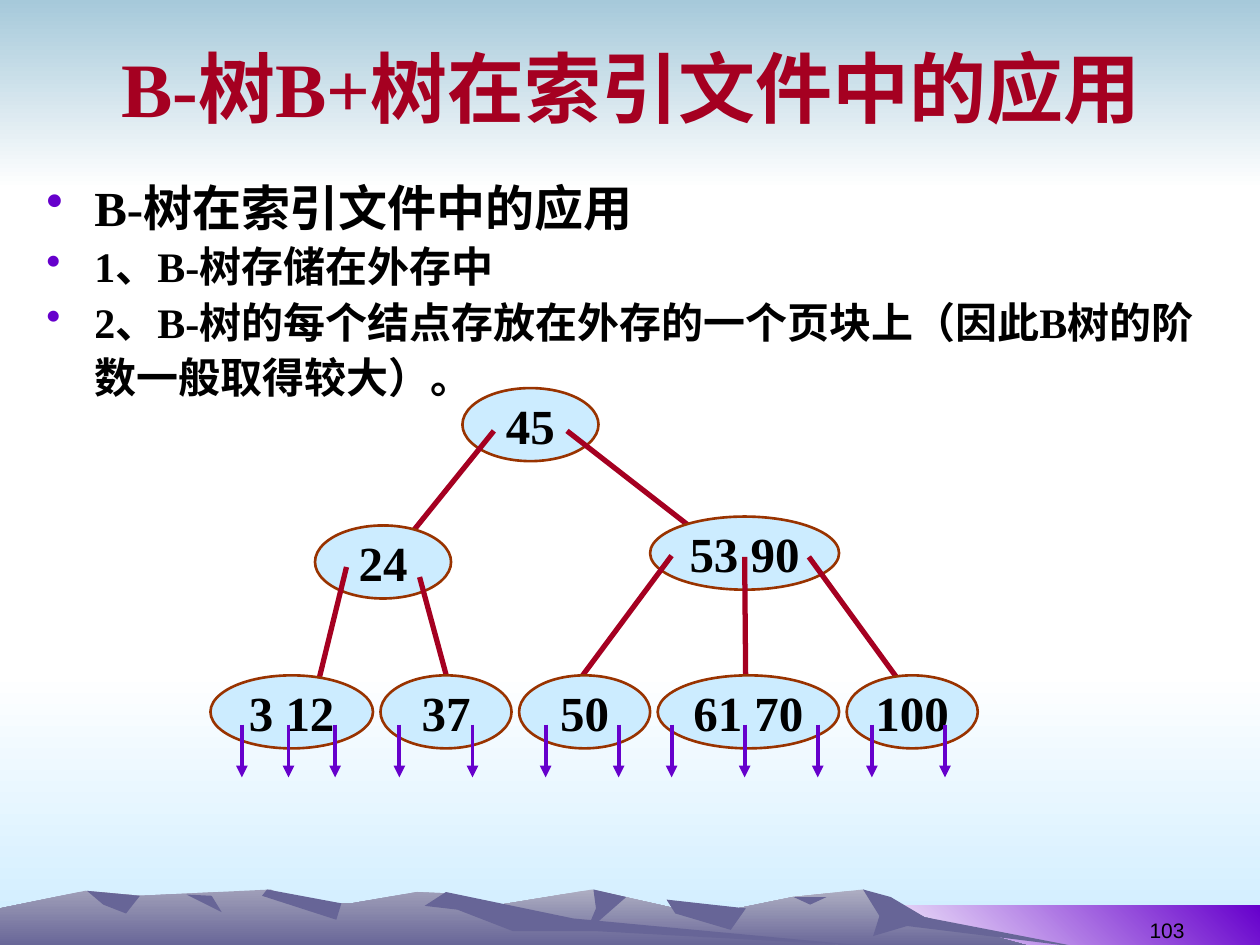
from dataclasses import dataclass
from typing import Optional

from lxml.etree import SubElement
from pptx import Presentation
from pptx.dml.color import RGBColor
from pptx.enum.shapes import MSO_CONNECTOR, MSO_SHAPE
from pptx.enum.text import MSO_ANCHOR, PP_ALIGN
from pptx.oxml.ns import qn
from pptx.util import Inches, Pt

COLORS = {
    "white": "FFFFFF", "black": "000000", "sky": "A6C9DA", "ice": "CCECFF",
    "purple": "6600CC", "red": "A50021", "brown": "993300",
    "slate": "676597", "mist": "AEAEC2", "haze": "9F9EB8",
}
SERIF = "Times New Roman"


@dataclass
class Band:
    x: float
    y: float
    w: float
    h: float
    start: str
    end: str
    angle: int = 270


@dataclass
class Ridge:
    points: list[tuple[int, int]]
    top_color: Optional[str] = None


@dataclass
class Node:
    text: str
    x: float
    y: float
    w: float


@dataclass
class Edge:
    x1: float
    y1: float
    x2: float
    y2: float


@dataclass
class Leaf:
    text: str
    w: float
    first_pointer: float
    pointers: int = 2
    step: float = 0.58


def rgb(name: str) -> RGBColor:
    return RGBColor.from_string(COLORS[name])


def fill_gradient(sp, start: str, end: str, angle: int = 270) -> None:
    sp.fill.gradient()
    sp.fill.gradient_angle = angle
    for stop, color in zip(sp.fill.gradient_stops, (start, end)):
        stop.color.rgb = rgb(color)


def add_band(s, band: Band) -> None:
    sp = s.shapes.add_shape(MSO_SHAPE.RECTANGLE, Inches(band.x), Inches(band.y),
                            Inches(band.w), Inches(band.h))
    sp.shadow.inherit = False
    sp.line.fill.background()
    fill_gradient(sp, band.start, band.end, band.angle)


def add_ridge(s, ridge: Ridge) -> None:
    builder = s.shapes.build_freeform(*ridge.points[0], scale=Inches(0.01))
    builder.add_line_segments(ridge.points[1:], close=True)
    sp = builder.convert_to_shape()
    sp.shadow.inherit = False
    sp.line.fill.background()
    if ridge.top_color:
        fill_gradient(sp, ridge.top_color, "slate")
    else:
        sp.fill.solid()
        sp.fill.fore_color.rgb = rgb("slate")


def style(p, size: int, color: str = "black", font: str = SERIF, bold: bool = True) -> None:
    for r in p.runs:
        r.font.size = Pt(size)
        r.font.name = font
        r.font.bold = bold
        r.font.color.rgb = rgb(color)


def add_text(s, x: float, y: float, w: float, h: float, text: str, anchor, align):
    tf = s.shapes.add_textbox(Inches(x), Inches(y), Inches(w), Inches(h)).text_frame
    tf.word_wrap = True
    tf.vertical_anchor = anchor
    tf.text = text
    for p in tf.paragraphs:
        p.alignment = align
    return tf


def add_bullet(p) -> None:
    pPr = p._p.get_or_add_pPr()
    pPr.set("marL", str(Inches(0.38)))
    pPr.set("indent", str(Inches(-0.38)))
    SubElement(SubElement(pPr, qn("a:buClr")), qn("a:srgbClr")).set("val", COLORS["purple"])
    SubElement(pPr, qn("a:buChar")).set("char", "•")
    p.line_spacing = 1.1


def add_node(s, node: Node) -> None:
    sp = s.shapes.add_shape(MSO_SHAPE.OVAL, Inches(node.x), Inches(node.y),
                            Inches(node.w), Inches(0.58))
    sp.shadow.inherit = False
    sp.fill.solid()
    sp.fill.fore_color.rgb = rgb("ice")
    sp.line.color.rgb = rgb("brown")
    sp.line.width = Pt(1.5)
    tf = sp.text_frame
    tf.word_wrap = False
    tf.vertical_anchor = MSO_ANCHOR.MIDDLE
    tf.text = node.text
    tf.paragraphs[0].alignment = PP_ALIGN.CENTER
    style(tf.paragraphs[0], 28)


def add_edge(s, edge: Edge, color: str = "red", width: float = 3, arrow: bool = False) -> None:
    c = s.shapes.add_connector(MSO_CONNECTOR.STRAIGHT, Inches(edge.x1), Inches(edge.y1),
                               Inches(edge.x2), Inches(edge.y2))
    c.line.color.rgb = rgb(color)
    c.line.width = Pt(width)
    if arrow:
        SubElement(c.line._get_or_add_ln(), qn("a:tailEnd")).set("type", "triangle")
    SubElement(c._element.spPr, qn("a:effectLst"))


BANDS = [
    Band(0, 5.33, 10, 2.17, "white", "ice"),
    Band(0, 0, 10, 1.5, "sky", "white"),
    Band(6.83, 7.19, 3.17, 0.33, "white", "purple", 45),
]
RIDGES = [
    Ridge([(258, 752), (355, 725), (470, 706), (536, 721), (566, 725), (629, 712),
           (685, 706), (723, 725), (821, 752)], "mist"),
    Ridge([(685, 706), (698, 727), (693, 743), (720, 735), (858, 752), (734, 728), (707, 712)]),
    Ridge([(471, 706), (473, 721), (465, 740), (497, 712)]),
    Ridge([(529, 714), (536, 725), (580, 738), (592, 721)]),
    Ridge([(630, 712), (643, 718), (656, 712)]),
    Ridge([(0, 752), (0, 721), (68, 707), (111, 711), (215, 706), (236, 717), (279, 717),
           (331, 708), (354, 709), (432, 732), (690, 752)], "haze"),
    Ridge([(212, 706), (208, 711), (267, 730), (271, 717)]),
    Ridge([(354, 708), (337, 719), (363, 722), (407, 739), (472, 739), (690, 751), (455, 729)]),
    Ridge([(148, 710), (176, 724), (168, 711)]),
    Ridge([(69, 707), (82, 718), (100, 725), (111, 711)]),
]
LEVELS = [
    ([Node("45", 3.67, 3.08, 1.08)],
     [Edge(4.5, 3.42, 5.58, 4.26), Edge(3.92, 3.42, 3.17, 4.35)]),
    ([Node("24", 2.5, 4.17, 1.08), Node("53 90", 5.16, 4.1, 1.5)],
     [Edge(2.75, 4.5, 2.5, 5.52), Edge(3.33, 4.58, 3.58, 5.5), Edge(5.33, 4.41, 4.58, 5.42),
      Edge(5.91, 4.42, 5.92, 5.58), Edge(6.42, 4.42, 7.33, 5.67)]),
]
LEAVES = [
    Leaf("3 12", 1.29, 1.92, 3, 0.37), Leaf("37", 1.04, 3.17), Leaf("50", 1.04, 4.33),
    Leaf("61 70", 1.44, 5.33, 3), Leaf("100", 1.04, 6.92),
]
LEAF_LEFT, LEAF_TOP, LEAF_GAP = 1.67, 5.36, 0.06
POINTER_TOP, POINTER_BOTTOM = 5.75, 6.17
BULLETS = [
    ("B-树在索引文件中的应用", 28),
    ("1、B-树存储在外存中", 24),
    ("2、B-树的每个结点存放在外存的一个页块上（因此B树的阶数一般取得较大）。", 24),
]


def main() -> None:
    prs = Presentation()
    prs.slide_width, prs.slide_height = Inches(10), Inches(7.5)
    s = prs.slides.add_slide(prs.slide_layouts[6])
    for band in BANDS:
        add_band(s, band)
    for ridge in RIDGES:
        add_ridge(s, ridge)

    number = add_text(s, 7.17, 7.03, 2.33, 0.5, "103", MSO_ANCHOR.BOTTOM, PP_ALIGN.RIGHT)
    style(number.paragraphs[0], 12, font="Arial", bold=False)
    title = add_text(s, 0.51, 0.13, 9, 1.12, "B-树B+树在索引文件中的应用",
                     MSO_ANCHOR.MIDDLE, PP_ALIGN.CENTER)
    style(title.paragraphs[0], 44, "red")
    body = add_text(s, 0.27, 1.31, 9.45, 5.67, "\n".join(text for text, _ in BULLETS),
                    MSO_ANCHOR.TOP, PP_ALIGN.LEFT)
    for p, (_, size) in zip(body.paragraphs, BULLETS):
        add_bullet(p)
        style(p, size)

    for nodes, edges in LEVELS:
        for node in nodes:
            add_node(s, node)
        for edge in edges:
            add_edge(s, edge)
    x = LEAF_LEFT
    for leaf in LEAVES:
        add_node(s, Node(leaf.text, x, LEAF_TOP, leaf.w))
        x += leaf.w + LEAF_GAP
        for i in range(leaf.pointers):
            px = leaf.first_pointer + i * leaf.step
            add_edge(s, Edge(px, POINTER_TOP, px, POINTER_BOTTOM), "purple", 2.25, arrow=True)
    prs.save("out.pptx")


if __name__ == "__main__":
    main()
